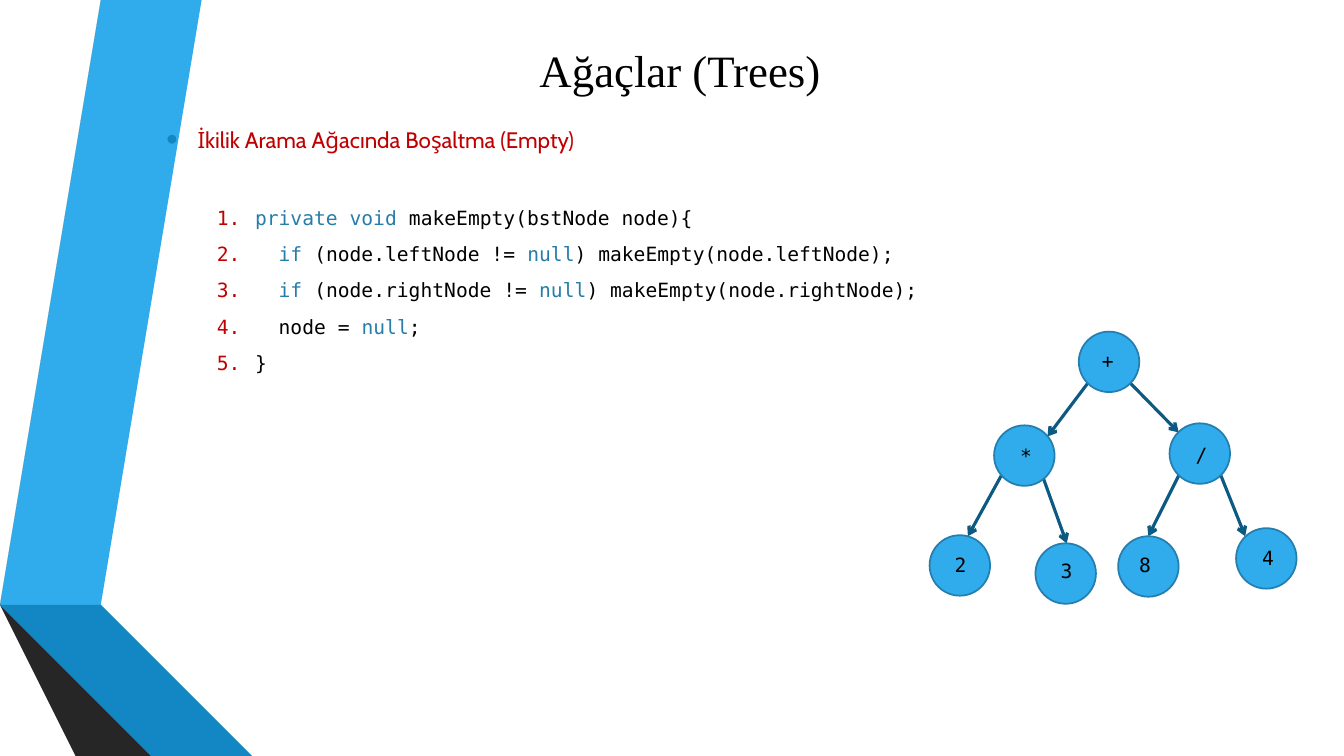
"""Build the slide on emptying a binary search tree."""
from lxml import etree
from pptx import Presentation, util as u
from pptx.dml.color import RGBColor
from pptx.enum import shapes, text
from pptx.oxml.ns import qn

THEME = {
    "accent": "30ACEC", "accent_mid": "1287C3", "accent_dark": "0C5A82",
    "outline": "247FAF", "keyword": "277DA9", "red": "C00000", "ink": "000000",
    "gray": "595959", "gray_mid": "404040", "gray_dark": "262626",
    "title": {"name": "Times New Roman", "size": u.Pt(32)},
    "heading": {"name": "Cabin", "size": u.Pt(16)},
    "code": {"name": "DejaVu Sans Mono", "size": u.Pt(14)},
}


def add_run(p, words, style, color):
    r = p.add_run()
    r.text = words
    for key, value in THEME[style].items():
        setattr(r.font, key, value)
    r.font.color.rgb = RGBColor.from_string(THEME[color])


def format_item(p, left, hanging, before, color, size, marker, **marker_attrs):
    fmt = {"level": 1, "alignment": text.PP_ALIGN.JUSTIFY, "line_spacing": 1.5,
           "space_before": u.Pt(before), "space_after": u.Pt(0)}
    for key, value in fmt.items():
        setattr(p, key, value)
    pPr = p._p.get_or_add_pPr()
    pPr.set("marL", str(u.Inches(left)))
    pPr.set("indent", str(-u.Inches(hanging)))
    clr = etree.SubElement(pPr, qn("a:buClr"))
    etree.SubElement(clr, qn("a:srgbClr"), val=THEME[color])
    etree.SubElement(pPr, qn("a:buSzPct"), val=str(size * 1000))
    etree.SubElement(pPr, qn(marker), **marker_attrs)


prs = Presentation()
prs.slide_width, prs.slide_height = u.Inches(13.33), u.Inches(7.5)
s = prs.slides.add_slide(prs.slide_layouts[1])
title, body = s.placeholders

bands = [
    ("accent", [(0.5, 5.78), (0.77, 5.83), (1.73, 0), (1.45, 0)]),
    ("gray", [(1.39, 0), (1.11, 0), (0.16, 5.73), (0.44, 5.77)]),
    ("gray_dark", [(0.16, 5.73), (1.45, 7.5), (1.51, 7.5)]),
    ("accent_dark", [(0.5, 5.79), (2.08, 7.5), (2.14, 7.5)]),
    ("accent_mid", [(0.5, 5.79), (2.14, 7.5), (2.83, 7.5), (0.77, 5.83), (0.5, 5.78)]),
    ("gray_mid", [(2.02, 7.5), (0.48, 5.83), (0.43, 5.78), (0.44, 5.77),
                  (0.16, 5.73), (1.51, 7.5)]),
]
for color, points in bands:
    builder = s.shapes.build_freeform(*points[0], scale=u.Inches(1))
    builder.add_line_segments(points[1:], close=True)
    sp = builder.convert_to_shape()
    sp.shadow.inherit = False
    sp.fill.solid()
    sp.fill.fore_color.rgb = RGBColor.from_string(THEME[color])
    sp.line.fill.background()

for holder, box, anchor in (
    (title, (1.55, 0.17, 10.39, 1.04), text.MSO_ANCHOR.MIDDLE),
    (body, (1.55, 1.07, 9.26, 6.19), text.MSO_ANCHOR.TOP),
):
    holder.left, holder.top, holder.width, holder.height = map(u.Inches, box)
    holder.text_frame.auto_size = text.MSO_AUTO_SIZE.NONE
    holder.text_frame.vertical_anchor = anchor
    holder.element.getparent().append(holder.element)

p = title.text_frame.paragraphs[0]
p.alignment = text.PP_ALIGN.CENTER
add_run(p, "Ağaçlar (Trees)", "title", "ink")

tf = body.text_frame
p = tf.paragraphs[0]
format_item(p, 0.31, 0.31, 0, "accent_mid", 145, "a:buChar", char="•")
add_run(p, "İkilik Arama Ağacında Boşaltma (Empty)", "heading", "red")

code = [
    [("private void ", "keyword"), ("makeEmpty(bstNode node){", "ink")],
    [("  if ", "keyword"), ("(node.leftNode != ", "ink"), ("null", "keyword"),
     (") makeEmpty(node.leftNode);", "ink")],
    [("  if ", "keyword"), ("(node.rightNode != ", "ink"), ("null", "keyword"),
     (") makeEmpty(node.rightNode);", "ink")],
    [("  node = ", "ink"), ("null", "keyword"), (";", "ink")],
    [("}", "ink")],
]
for i, line in enumerate(code):
    p = tf.add_paragraph()
    format_item(p, 0.88, 0.38, 0.8 if i else 29, "red", 100,
                "a:buAutoNum", type="arabicPeriod")
    for words, color in line:
        add_run(p, words, "code", color)

edges = [
    (10.79, 3.8, 10.39, 4.33), (11.21, 3.8, 11.69, 4.29),
    (9.93, 4.72, 9.6, 5.32), (10.35, 4.75, 10.58, 5.39),
    (11.69, 4.72, 11.39, 5.32), (12.11, 4.72, 12.35, 5.32),
]
for edge in edges:
    arrow = s.shapes.add_connector(shapes.MSO_CONNECTOR.STRAIGHT, *map(u.Inches, edge))
    arrow.line.color.rgb = RGBColor.from_string(THEME["accent_dark"])
    arrow.line.width = u.Pt(2.25)
    etree.SubElement(arrow.line._get_or_add_ln(), qn("a:tailEnd"), type="arrow")
    etree.SubElement(arrow.element.spPr, qn("a:effectLst"))

nodes = [
    ("+", (10.7, 3.29), (10.83, 3.41)),
    ("*", (9.86, 4.22), (10.02, 4.35)),
    ("/", (11.6, 4.2), (11.76, 4.34)),
    ("2", (9.22, 5.31), (9.37, 5.44)),
    ("8", (11.09, 5.32), (11.2, 5.44)),
    ("4", (12.26, 5.24), (12.42, 5.37)),
    ("3", (10.27, 5.39), (10.42, 5.5)),
]
for symbol, circle_at, label_at in nodes:
    sp = s.shapes.add_shape(shapes.MSO_SHAPE.OVAL, *map(u.Inches, (*circle_at, 0.6, 0.6)))
    sp.shadow.inherit = False
    sp.fill.solid()
    sp.fill.fore_color.rgb = RGBColor.from_string(THEME["accent"])
    sp.line.color.rgb = RGBColor.from_string(THEME["outline"])
    sp.line.width = u.Pt(1.25)
    label = s.shapes.add_textbox(*map(u.Inches, (*label_at, 0.45, 0.34)))
    label.text_frame.word_wrap = True
    label.text_frame.auto_size = text.MSO_AUTO_SIZE.SHAPE_TO_FIT_TEXT
    add_run(label.text_frame.paragraphs[0], symbol, "code", "ink")

prs.save("out.pptx")
